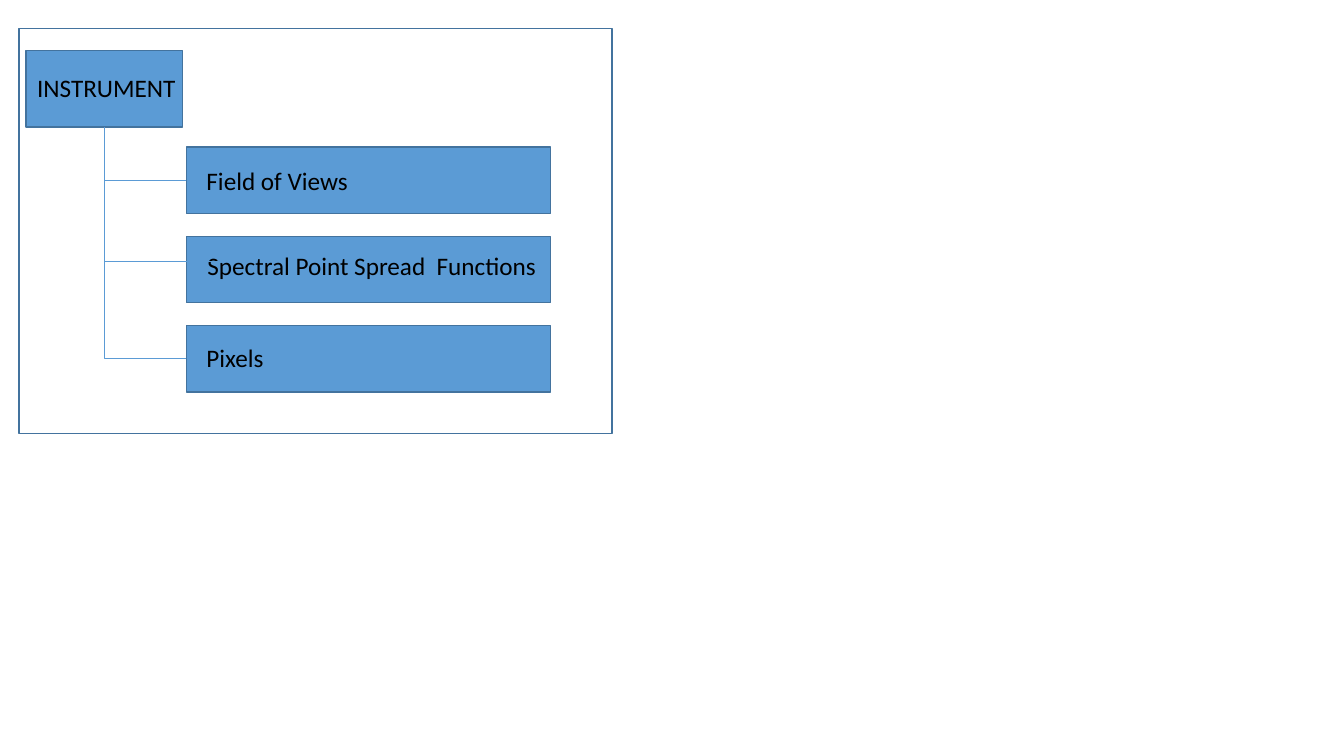
from dataclasses import dataclass

import pptx
import pptx.dml.color
import pptx.enum.shapes
import pptx.enum.text
import pptx.oxml.ns
import pptx.util
from pptx.util import Pt

BLUE = pptx.dml.color.RGBColor(0x5B, 0x9B, 0xD5)
EDGE = pptx.dml.color.RGBColor(0x43, 0x73, 0x9E)
BLACK = pptx.dml.color.RGBColor(0, 0, 0)

LABEL_FORMAT = {"name": "Calibri", "size": Pt(18)}
LABEL_HEIGHT = 29
TRUNK_X, TRUNK_TOP = 74.9, 90.7
BRANCH_LEFT, BRANCH_TOP, BRANCH_PITCH = 133.2, 105.1, 63.7
BRANCH_WIDTH, BRANCH_HEIGHT = 259.9, 47.5


@dataclass(frozen=True)
class Branch:
    text: str
    label_left: float
    label_top: float
    label_width: float
    link_x: float
    link_y: float


BRANCHES = [
    Branch("Field of Views", 140.4, 114.5, 197.3, BRANCH_LEFT, 128.9),
    Branch("Spectral Point Spread  Functions", 141.1, 175, 256.3, 177.1, 186.5),
    Branch("Pixels", 140.4, 241.2, 197.3, BRANCH_LEFT, 256.3),
]


def add_box(s, left: float, top: float, width: float, height: float, filled: bool = True) -> None:
    sp = s.shapes.add_shape(pptx.enum.shapes.MSO_SHAPE.RECTANGLE,
                            Pt(left), Pt(top), Pt(width), Pt(height))
    sp.shadow.inherit = False
    if filled:
        sp.fill.solid()
        sp.fill.fore_color.rgb = BLUE
    else:
        sp.fill.background()
    sp.line.color.rgb = EDGE
    sp.line.width = Pt(1)


def add_label(s, text: str, left: float, top: float, width: float) -> None:
    tf = s.shapes.add_textbox(Pt(left), Pt(top), Pt(width), Pt(LABEL_HEIGHT)).text_frame
    tf.word_wrap = True
    tf.auto_size = pptx.enum.text.MSO_AUTO_SIZE.SHAPE_TO_FIT_TEXT
    r = tf.paragraphs[0].add_run()
    r.text = text
    for name, value in LABEL_FORMAT.items():
        setattr(r.font, name, value)
    r.font.color.rgb = BLACK


def add_link(s, x: float, y: float) -> None:
    """Run an elbow from a branch left to the trunk, then up to the root."""
    cxn = s.shapes.add_connector(pptx.enum.shapes.MSO_CONNECTOR.ELBOW,
                                 Pt(x), Pt(y), Pt(TRUNK_X), Pt(TRUNK_TOP))
    cxn.line.color.rgb = BLUE
    cxn.line.width = Pt(0.5)
    sp_pr = cxn._element.spPr
    sp_pr.find(pptx.oxml.ns.qn("a:prstGeom")).set("prst", "bentConnector2")
    sp_pr.append(sp_pr.makeelement(pptx.oxml.ns.qn("a:effectLst"), {}))


def main() -> None:
    prs = pptx.Presentation()
    prs.slide_width, prs.slide_height = Pt(960), Pt(540)
    s = prs.slides.add_slide(prs.slide_layouts[6])

    add_box(s, 18.7, 36.2, 111.6, 54.5)
    add_box(s, 13.7, 20.2, 423.4, 289.4, filled=False)
    add_label(s, "INSTRUMENT", 19.4, 48.2, 115)

    for i, b in enumerate(BRANCHES):
        add_box(s, BRANCH_LEFT, BRANCH_TOP + i * BRANCH_PITCH, BRANCH_WIDTH, BRANCH_HEIGHT)
        add_label(s, b.text, b.label_left, b.label_top, b.label_width)
    for b in BRANCHES:
        add_link(s, b.link_x, b.link_y)

    prs.save("out.pptx")


if __name__ == "__main__":
    main()
